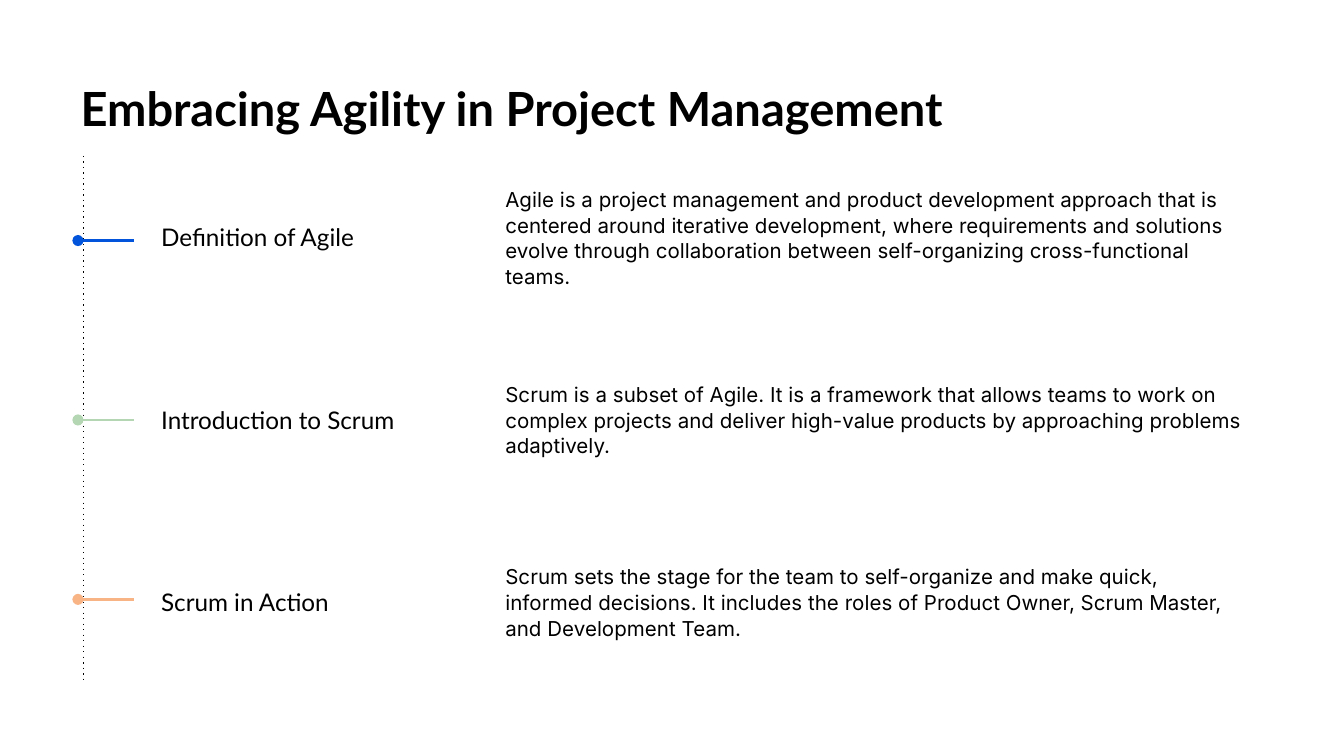
from lxml.etree import SubElement
from pptx import Presentation
from pptx.dml.color import RGBColor
from pptx.enum.shapes import MSO_CONNECTOR
from pptx.enum.text import MSO_ANCHOR, MSO_AUTO_SIZE, PP_ALIGN
from pptx.oxml.ns import qn
from pptx.util import Inches, Pt

BLACK = RGBColor(0x00, 0x00, 0x00)
BLUE = RGBColor(0x02, 0x54, 0xDB)
GREEN = RGBColor(0xB5, 0xD6, 0xB2)
ORANGE = RGBColor(0xF8, 0xB4, 0x84)

TOPICS = [
    ("Definition of Agile", BLUE,
     "Agile is a project management and product development approach that is "
     "centered around iterative development, where requirements and solutions "
     "evolve through collaboration between self-organizing cross-functional teams."),
    ("Introduction to Scrum", GREEN,
     "Scrum is a subset of Agile. It is a framework that allows teams to work on "
     "complex projects and deliver high-value products by approaching problems "
     "adaptively."),
    ("Scrum in Action", ORANGE,
     "Scrum sets the stage for the team to self-organize and make quick, informed "
     "decisions. It includes the roles of Product Owner, Scrum Master, and "
     "Development Team."),
]


def write(shape, box, text, font, size, bold=False, left=0.1, right=0.1,
          lead=1.0, after=0):
    """Place a text shape in its box and fill it with one plain paragraph."""
    shape.left, shape.top, shape.width, shape.height = map(Inches, box)
    frame = shape.text_frame
    frame.word_wrap = True
    frame.auto_size = MSO_AUTO_SIZE.NONE
    frame.vertical_anchor = MSO_ANCHOR.MIDDLE
    frame.margin_left, frame.margin_right = Inches(left), Inches(right)
    frame.margin_top = frame.margin_bottom = Inches(0.1)

    para = frame.paragraphs[0]
    para.alignment = PP_ALIGN.LEFT
    para.line_spacing = lead
    para.space_before, para.space_after = Pt(0), Pt(after)
    # No bullet and no hanging indent
    props = para._p.get_or_add_pPr()
    props.set("marL", "0")
    props.set("indent", "0")
    SubElement(props, qn("a:buNone"))

    run = para.add_run()
    run.text = text
    run.font.name, run.font.size, run.font.bold = font, Pt(size), bold
    run.font.color.rgb = BLACK


def add_line(slide, start, end, color, width, tag, kind):
    """Straight line with one extra line property: a dash or an arrowhead."""
    line = slide.shapes.add_connector(
        MSO_CONNECTOR.STRAIGHT, *map(Inches, start + end))
    line.line.color.rgb = color
    line.line.width = Pt(width)
    SubElement(line.line._get_or_add_ln(), qn(tag), kind)
    SubElement(line._element.spPr, qn("a:effectLst"))


def add_topic(slide, holder, box, topic):
    """One row: label on the left, description on the right."""
    x, y, w, h = box
    name, _, text = topic
    split = 2.36
    label = slide.shapes.add_textbox(0, 0, 0, 0)
    write(label, (x, y, split, h), name, "Lato", 13, left=0.2, after=10)
    write(holder, (x + split, y, w - split, h), text, "Inter", 11,
          left=0.4, right=0.2, lead=1.05, after=10)


def add_rail(slide, box):
    """Dotted vertical line with one coloured marker per topic."""
    x, y, w, h = box
    axis = x + 0.04
    add_line(slide, (axis, y), (axis, y + h), BLACK, 0.75,
             "a:prstDash", {"val": "dot"})
    for i, (_, color, _) in enumerate(TOPICS):
        level = y + 0.63 + i * 1.335
        add_line(slide, (x, level), (x + w, level), color, 1.5,
                 "a:headEnd", {"type": "oval"})


def main():
    deck = Presentation()
    # Widescreen, 16:9
    deck.slide_width = Inches(10)
    deck.slide_height = deck.slide_width * 9 // 16
    slide = deck.slides.add_slide(deck.slide_layouts.get_by_name("Comparison"))

    # Title
    write(slide.shapes.title, (0.5, 0.49, 9, 0.63),
          "Embracing Agility in Project Management", "Lato", 25.2, bold=True)

    # Topic rows
    _, *bodies = slide.placeholders
    for i, (holder, topic) in enumerate(zip(bodies, TOPICS)):
        add_topic(slide, holder, (1, 1.16 + i * 1.355, 8.5, 1.21), topic)
    for spare in bodies[len(TOPICS):]:
        spare._element.getparent().remove(spare._element)

    # Timeline
    add_rail(slide, (0.58, 1.16, 0.42, 3.92))
    deck.save("out.pptx")


if __name__ == "__main__":
    main()
